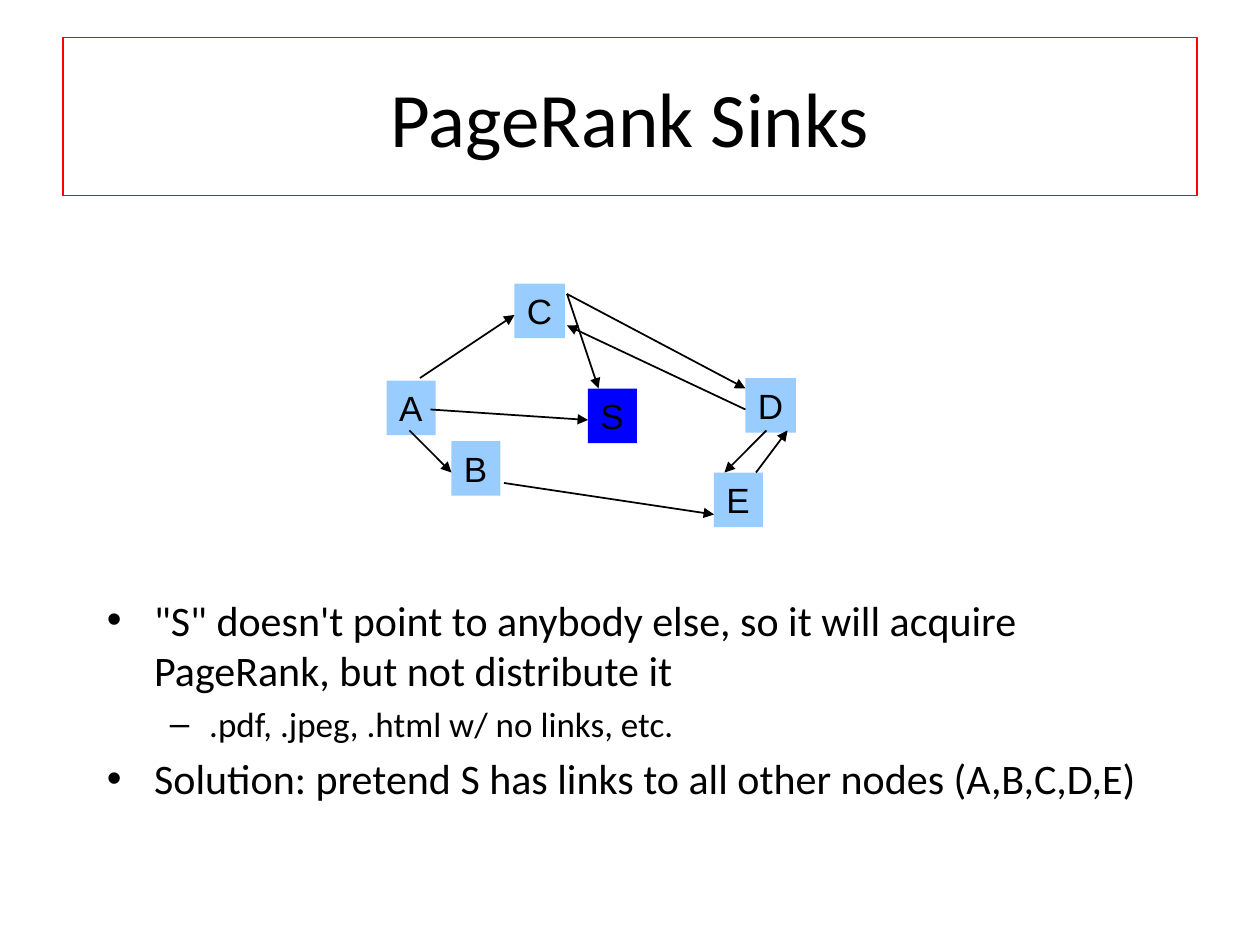
import pptx
import pptx.util
import pptx.dml.color
import pptx.enum.shapes
import pptx.enum.text
import pptx.oxml.ns
from lxml import etree

Pt = pptx.util.Pt
RGBColor = pptx.dml.color.RGBColor
qn = pptx.oxml.ns.qn
RECTANGLE = pptx.enum.shapes.MSO_SHAPE.RECTANGLE
STRAIGHT = pptx.enum.shapes.MSO_CONNECTOR.STRAIGHT
ALIGN = pptx.enum.text.PP_ALIGN
ANCHOR = pptx.enum.text.MSO_ANCHOR
AUTO_SIZE = pptx.enum.text.MSO_AUTO_SIZE

BLACK = RGBColor(0, 0, 0)
RED = RGBColor(0xFF, 0, 0)
PAGE_BLUE = RGBColor(0x99, 0xCC, 0xFF)
SINK_BLUE = RGBColor(0, 0, 0xFF)

TITLE = "PageRank Sinks"
# level, text
POINTS = [
    (0, "\"S\" doesn't point to anybody else, so it will acquire "
        "PageRank, but not distribute it"),
    (1, ".pdf, .jpeg, .html w/ no links, etc."),
    (0, "Solution: pretend S has links to all other nodes (A,B,C,D,E)"),
]
# level: bullet, text size, left margin, hanging indent
LEVELS = {0: ("\u2022", 24, 27, 27), 1: ("\u2013", 20, 58.5, 22.5)}

# letter: left, top, width, fill
NODES = {
    "A": (221, 217.5, 28, PAGE_BLUE),
    "B": (258, 252, 28, PAGE_BLUE),
    "C": (294, 162, 28.8, PAGE_BLUE),
    "D": (426, 216, 28.8, PAGE_BLUE),
    "E": (408, 270, 28, PAGE_BLUE),
    "S": (336, 222, 28, SINK_BLUE),
}
NODE_HEIGHT = 31.2
# start and end of each link, in the order A-C, A-S, A-B, D-E, E-D, B-E, C-S, C-D, D-C
LINKS = [
    ((240, 216), (294, 180)),
    ((246, 234), (336, 240)),
    ((234, 246), (258, 270)),
    ((438, 246), (414, 270)),
    ((432, 270), (450, 246)),
    ((288, 276), (408, 294)),
    ((324, 168), (342, 222)),
    ((324, 168), (426, 222)),
    ((426, 234), (324, 186)),
]


def add_run(paragraph, text, size, font):
    """Add one black run to a paragraph."""
    run = paragraph.add_run()
    run.text = text
    run.font.size = Pt(size)
    run.font.name = font
    run.font.color.rgb = BLACK


def add_box(slide, left, top, width, height):
    """Add a rectangle without shadow, fill or line."""
    box = slide.shapes.add_shape(
        RECTANGLE, Pt(left), Pt(top), Pt(width), Pt(height))
    box.shadow.inherit = False
    box.fill.background()
    box.line.fill.background()
    return box


def add_title(slide):
    """Add the framed title."""
    title = add_box(slide, 36, 21.6, 648, 90)
    title.line.color.rgb = RED
    title.line.width = Pt(0.75)
    title.text_frame.vertical_anchor = ANCHOR.MIDDLE
    paragraph = title.text_frame.paragraphs[0]
    paragraph.alignment = ALIGN.CENTER
    add_run(paragraph, TITLE, 44, "Calibri")


def add_points(slide):
    """Add the bulleted text below the graph."""
    body = slide.shapes.add_textbox(Pt(54), Pt(336), Pt(612), Pt(162))
    frame = body.text_frame
    frame.word_wrap = True
    for index, (level, text) in enumerate(POINTS):
        bullet, size, margin, hanging = LEVELS[level]
        paragraph = frame.add_paragraph() if index else frame.paragraphs[0]
        paragraph.level = level
        paragraph.space_before = Pt(size * 0.2)
        properties = paragraph._p.get_or_add_pPr()
        properties.set("marL", str(Pt(margin)))
        properties.set("indent", str(-Pt(hanging)))
        etree.SubElement(properties, qn("a:buFont")).set("typeface", "Arial")
        etree.SubElement(properties, qn("a:buChar")).set("char", bullet)
        add_run(paragraph, text, size, "Calibri")


def add_node(slide, letter, left, top, width, fill):
    """Add one lettered page of the graph."""
    node = add_box(slide, left, top, width, NODE_HEIGHT)
    node.fill.solid()
    node.fill.fore_color.rgb = fill
    frame = node.text_frame
    frame.word_wrap = False
    frame.auto_size = AUTO_SIZE.SHAPE_TO_FIT_TEXT
    frame.vertical_anchor = ANCHOR.TOP
    frame.paragraphs[0].alignment = ALIGN.LEFT
    add_run(frame.paragraphs[0], letter, 20, "Arial")


def add_link(slide, start, end):
    """Add an arrow from start to end."""
    link = slide.shapes.add_connector(
        STRAIGHT, *(Pt(value) for value in start + end))
    link.line.color.rgb = BLACK
    link.line.width = Pt(1)
    etree.SubElement(link.line._get_or_add_ln(), qn("a:tailEnd")).set("type", "triangle")
    etree.SubElement(link._element.spPr, qn("a:effectLst"))


presentation = pptx.Presentation()
presentation.slide_width = Pt(720)
presentation.slide_height = Pt(540)
slide = presentation.slides.add_slide(presentation.slide_layouts[6])
add_title(slide)
add_points(slide)
for letter, place in NODES.items():
    add_node(slide, letter, *place)
for start, end in LINKS:
    add_link(slide, start, end)
presentation.save("out.pptx")
